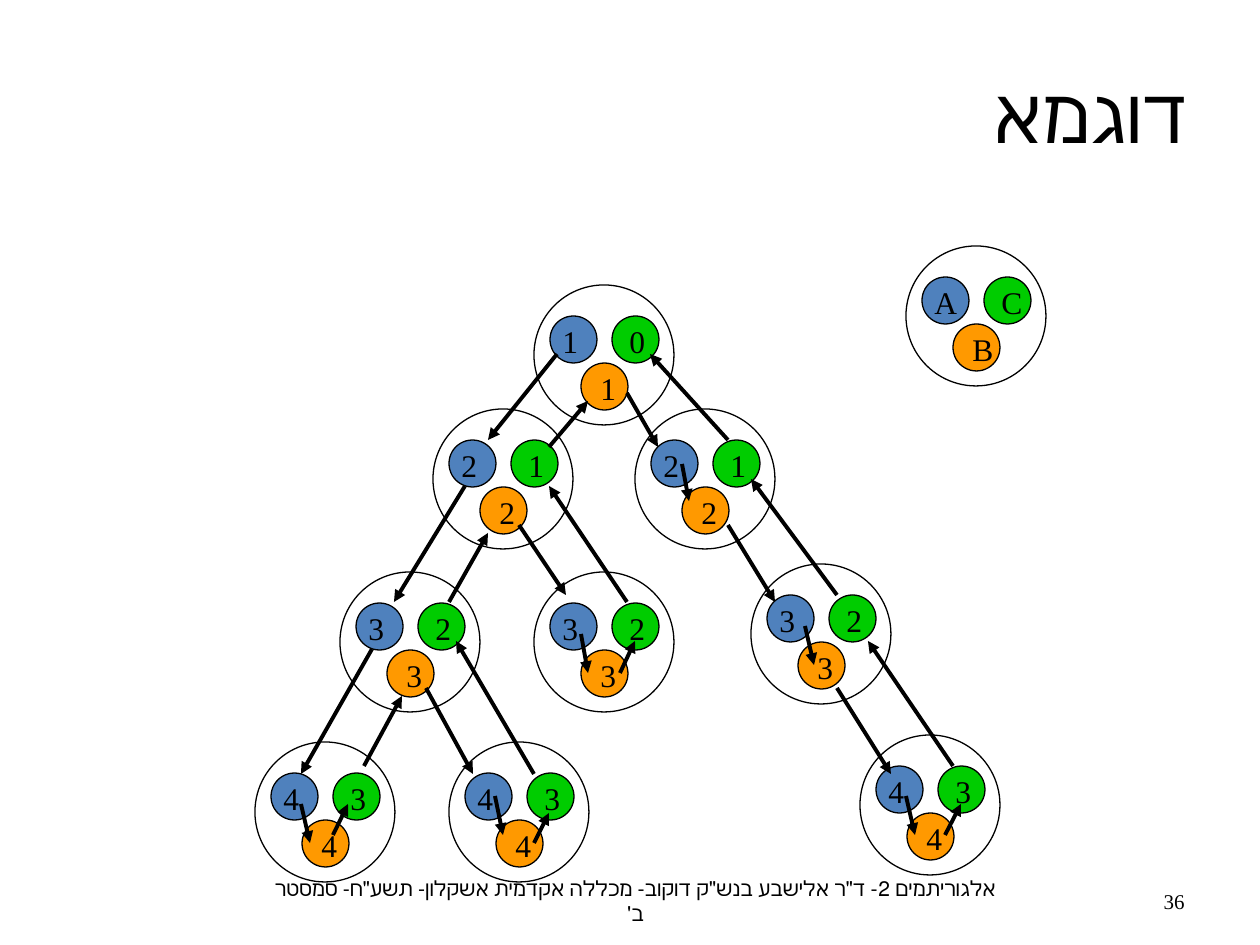
import pptx
import pptx.util
import pptx.dml.color
import pptx.enum.shapes
import pptx.enum.text
import pptx.oxml.ns
from lxml import etree

EMU_PER_PX = 914400 / 126
BLACK = pptx.dml.color.RGBColor(0x00, 0x00, 0x00)
BLUE = pptx.dml.color.RGBColor(0x4F, 0x81, 0xBD)
GREEN = pptx.dml.color.RGBColor(0x00, 0xCC, 0x00)
ORANGE = pptx.dml.color.RGBColor(0xFF, 0x99, 0x00)
ALIGN = pptx.enum.text.PP_ALIGN
qn = pptx.oxml.ns.qn

NODE = 140
DOT = 47
# Left, top of each node and its depth in the tree
NODES = [
    (534, 285, 1), (433, 409, 2), (635, 409, 2), (340, 572, 3), (255, 742, 4),
    (534, 572, 3), (449, 742, 4), (751, 564, 3), (860, 735, 4),
]
# Start x, y and end x, y of each step of the traversal
ARROWS = [
    # down to the left child
    (557, 354, 488, 440), (465, 486, 394, 602), (372, 649, 301, 774),
    # back up from the left child
    (364, 766, 402, 696), (449, 602, 488, 533), (549, 447, 588, 401),
    # down to the right child
    (426, 688, 473, 774), (519, 525, 566, 595), (837, 688, 891, 774),
    (728, 525, 775, 602), (627, 393, 658, 447),
    # back up from the right child
    (534, 774, 456, 641), (627, 602, 549, 486), (953, 766, 868, 641),
    (837, 595, 751, 479), (728, 440, 650, 354),
    # A to B within a node
    (301, 804, 310, 843), (495, 796, 503, 835), (581, 634, 588, 673),
    (805, 626, 814, 665), (682, 464, 689, 501), (906, 796, 915, 835),
    # B to C within a node
    (333, 835, 348, 804), (534, 843, 549, 813), (620, 673, 635, 641),
    (945, 835, 961, 804),
]


def px(n):
    return pptx.util.Emu(round(n * EMU_PER_PX))


class Drawing:
    """Holds the text style, the slide and the group that the tree is drawn in."""

    font = "Times New Roman"
    color = BLACK

    def __init__(self, prs):
        self.slide = prs.slides.add_slide(prs.slide_layouts[6])
        self.group = None

    def text(self, shapes, box, text, size, align=None, rtl=False):
        sp = shapes.add_textbox(*map(px, box))
        tf = sp.text_frame
        tf.text = text
        p = tf.paragraphs[0]
        p.alignment = align
        if rtl:
            p._p.get_or_add_pPr().set("rtl", "1")
        font = p.runs[0].font
        font.name = self.font
        font.size = pptx.util.Pt(size)
        font.color.rgb = self.color
        return tf

    def block(self, box, text, size, align, rtl=False):
        """Wrapped text, centred vertically in its box."""
        tf = self.text(self.slide.shapes, box, text, size, align, rtl)
        tf.word_wrap = True
        tf.vertical_anchor = pptx.enum.text.MSO_ANCHOR.MIDDLE

    def label(self, x, y, text):
        width = 34 if text.isdigit() else 40
        tf = self.text(self.group.shapes, (x, y, width, DOT), text, 18)
        tf.word_wrap = False
        tf.auto_size = pptx.enum.text.MSO_AUTO_SIZE.SHAPE_TO_FIT_TEXT

    def circle(self, x, y, size, fill=None):
        sp = self.group.shapes.add_shape(
            pptx.enum.shapes.MSO_SHAPE.OVAL, px(x), px(y), px(size), px(size))
        sp.shadow.inherit = False
        if fill is None:
            sp.fill.background()
        else:
            sp.fill.solid()
            sp.fill.fore_color.rgb = fill
        sp.line.color.rgb = BLACK
        sp.line.width = pptx.util.Pt(0.75)

    def node(self, x, y, a, b, c):
        self.circle(x, y, NODE)
        dots = [(16, 31, 16, BLUE, a), (47, 78, 54, ORANGE, b), (78, 31, 83, GREEN, c)]
        for dx, dy, text_dx, fill, text in dots:
            self.circle(x + dx, y + dy, DOT, fill)
            self.label(x + text_dx, y + dy, text)

    def arrow(self, *ends):
        line = self.group.shapes.add_connector(
            pptx.enum.shapes.MSO_CONNECTOR.STRAIGHT, *map(px, ends))
        line.line.color.rgb = BLACK
        line.line.width = pptx.util.Pt(2.25)
        etree.SubElement(line.line._get_or_add_ln(), qn("a:tailEnd"), type="triangle")
        etree.SubElement(line._element.spPr, qn("a:effectLst"))


def main():
    prs = pptx.Presentation()
    prs.slide_width = px(1260)
    prs.slide_height = px(945)

    d = Drawing(prs)
    d.block((903, 876, 294, 50), "36", 12, ALIGN.RIGHT)
    d.block((49, 39, 1152, 147), "דוגמא", 44, ALIGN.RIGHT, rtl=True)
    d.block((256, 876, 759, 50),
            "אלגוריתמים 2- ד\"ר אלישבע בנש\"ק דוקוב- מכללה אקדמית אשקלון- תשע\"ח- סמסטר ב'",
            12, ALIGN.CENTER, rtl=True)

    d.group = d.slide.shapes.add_group_shape()
    d.node(906, 246, "A", "B", "C")
    for x, y, depth in NODES:
        d.node(x, y, str(depth), str(depth), str(depth - 1))
    for ends in ARROWS:
        d.arrow(*ends)

    prs.save("out.pptx")


if __name__ == "__main__":
    main()
